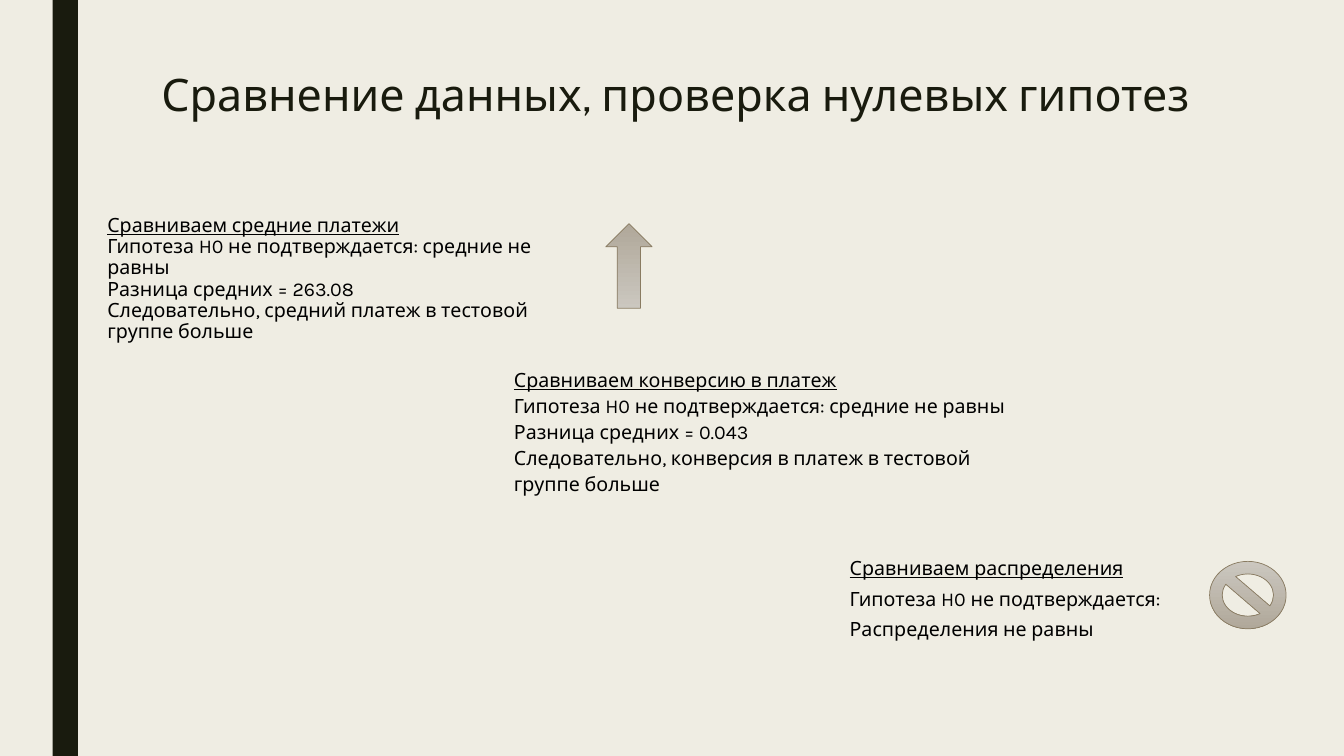
from pptx import Presentation
from pptx import util as u
from pptx.dml import color
from pptx.enum import shapes, text

INK, SAND = "191B0E", "EFEDE3"
LIGHT, DARK, EDGE = "CBC7BF", "B0A89A", "897B61"


def rgb(value):
    return color.RGBColor.from_string(value)


def points(box):
    return [u.Pt(length) for length in box]


def write(paragraph, words, size=14, font="Karla", ink="000000",
          underline=False, spacing=1.0):
    paragraph.alignment = text.PP_ALIGN.LEFT
    paragraph.line_spacing = spacing
    paragraph.space_before = paragraph.space_after = u.Pt(0)
    run = paragraph.add_run()
    run.text = words
    run.font.size, run.font.name = u.Pt(size), font
    run.font.color.rgb = rgb(ink)
    run.font.underline = underline


def add_backdrop(slide, box):
    """Plain background with the dark bar at the left."""
    left, top, width, height = box
    slide.background.fill.solid()
    slide.background.fill.fore_color.rgb = rgb(SAND)
    bar = slide.shapes.add_shape(shapes.MSO_SHAPE.RECTANGLE,
                                 *points((left + 37.6, top, 18, height)))
    bar.shadow.inherit = False
    bar.fill.solid()
    bar.fill.fore_color.rgb = rgb(INK)
    bar.line.fill.background()


def add_heading(slide, box, words):
    title = slide.shapes.title
    title.left, title.top, title.width, title.height = points(box)
    frame = title.text_frame
    frame.word_wrap = True
    frame.auto_size = text.MSO_AUTO_SIZE.NONE
    frame.vertical_anchor = text.MSO_ANCHOR.TOP
    write(frame.paragraphs[0], words, size=32, font="Cabin", ink=INK, spacing=0.89)


def add_comparison(slide, box, topic, findings, spacing, bottom_inset=3.6):
    """Underlined topic followed by its findings, centred vertically."""
    frame = slide.shapes.add_textbox(*points(box)).text_frame
    frame.word_wrap = True
    frame.vertical_anchor = text.MSO_ANCHOR.MIDDLE
    frame.margin_bottom = u.Pt(bottom_inset)
    write(frame.paragraphs[0], topic, underline=True, spacing=spacing)
    for finding in findings:
        write(frame.add_paragraph(), finding, spacing=spacing)


def add_verdict(slide, box, preset, top_colour, bottom_colour):
    """Symbol with a vertical gradient."""
    symbol = slide.shapes.add_shape(preset, *points(box))
    symbol.shadow.inherit = False
    symbol.fill.gradient()
    symbol.fill.gradient_angle = 270
    for stop, shade in zip(symbol.fill.gradient_stops, (top_colour, bottom_colour)):
        stop.color.rgb = rgb(shade)
    symbol.line.color.rgb = rgb(EDGE)
    symbol.line.width = u.Pt(0.5)


def main():
    deck = Presentation()
    deck.slide_width, deck.slide_height = u.Pt(960), u.Pt(540)
    slide = deck.slides.add_slide(deck.slide_layouts[5])

    add_backdrop(slide, (0, 0, 960, 540))
    add_heading(slide, (108, 49, 756, 116.6),
                "Сравнение данных, проверка нулевых гипотез")

    # Average payments
    unequal_means = "Гипотеза H0 не подтверждается: средние не равны"
    add_comparison(slide, (69.6, 128.9, 362.9, 141.1), "Сравниваем средние платежи",
                   [unequal_means, "Разница средних = 263.08",
                    "Следовательно, средний платеж в тестовой группе больше"], 0.9)
    add_verdict(slide, (432.7, 159.8, 33.1, 60.5), shapes.MSO_SHAPE.UP_ARROW, DARK, LIGHT)

    # Conversion to payment
    add_comparison(slide, (360, 223.9, 371.5, 185.8), "Сравниваем конверсию в платеж",
                   [unequal_means, "Разница средних = 0.043",
                    "Следовательно, конверсия в платеж в тестовой группе больше"],
                   1.1, bottom_inset=22.2)

    # Distributions
    add_comparison(slide, (599.8, 331.9, 270.7, 185.8), "Сравниваем распределения",
                   ["Гипотеза H0 не подтверждается: Распределения не равны"], 1.3)
    add_verdict(slide, (864, 401, 54.7, 48.2), shapes.MSO_SHAPE.NO_SYMBOL, LIGHT, DARK)

    deck.save("out.pptx")


if __name__ == "__main__":
    main()
